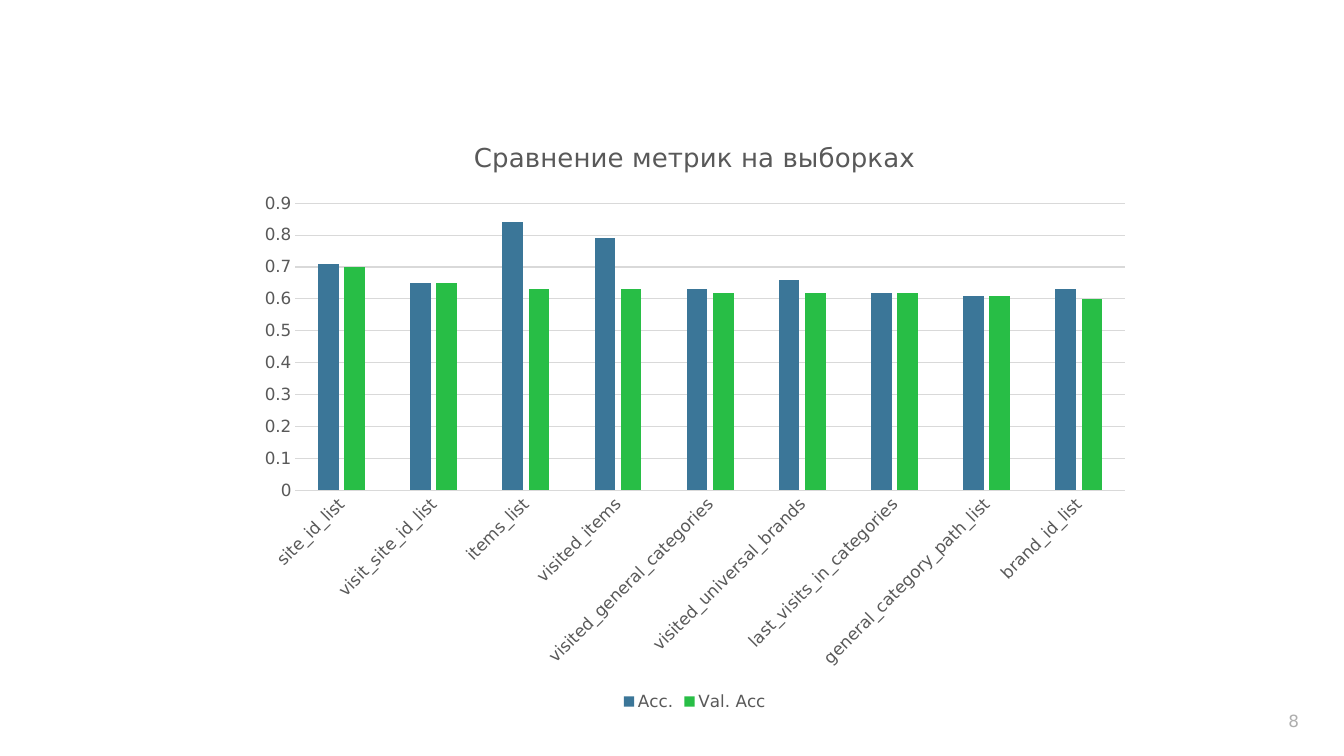
"""Build the slide comparing accuracy metrics across feature sets."""
from pptx import Presentation
from pptx.chart.data import CategoryChartData
from pptx.dml.color import RGBColor
from pptx.enum.chart import XL_CHART_TYPE as ChartType
from pptx.enum.chart import XL_LEGEND_POSITION as LegendPosition
from pptx.enum.chart import XL_TICK_MARK as TickMark
from pptx.enum.text import MSO_ANCHOR as Anchor
from pptx.enum.text import PP_ALIGN as Align
from pptx.util import Cm, Pt

FONT = "DejaVu Sans"
COLORS = {
    "label": "595959",
    "grid": "D9D9D9",
    "number": "AEAEAE",
    "Acc.": "3B7698",
    "Val. Acc": "28BE46",
}
CATEGORIES = [
    "site_id_list",
    "visit_site_id_list",
    "items_list",
    "visited_items",
    "visited_general_categories",
    "visited_universal_brands",
    "last_visits_in_categories",
    "general_category_path_list",
    "brand_id_list",
]
METRICS = {
    "Acc.": [0.71, 0.65, 0.84, 0.79, 0.63, 0.66, 0.62, 0.61, 0.63],
    "Val. Acc": [0.7, 0.65, 0.63, 0.63, 0.62, 0.62, 0.62, 0.61, 0.6],
}


def style_font(font, size, color):
    font.name = FONT
    font.size = Pt(size)
    font.bold = False
    font.color.rgb = RGBColor.from_string(COLORS[color])


def style_line(line):
    line.color.rgb = RGBColor.from_string(COLORS["grid"])
    line.width = Pt(0.75)


deck = Presentation()
deck.slide_width, deck.slide_height = Cm(33.87), Cm(19.05)
page = deck.slides.add_slide(deck.slide_layouts[6])

box = page.shapes.add_textbox(Cm(25.37), Cm(17.65), Cm(7.62), Cm(1.02))
box.text_frame.word_wrap = True
box.text_frame.vertical_anchor = Anchor.MIDDLE
para = box.text_frame.paragraphs[0]
para.alignment = Align.RIGHT
span = para.add_run()
span.text = "8"
style_font(span.font, 12, "number")

metric_data = CategoryChartData()
metric_data.categories = CATEGORIES
for name, values in METRICS.items():
    metric_data.add_series(name, values)
chart = page.shapes.add_chart(
    ChartType.COLUMN_CLUSTERED, Cm(6.22), Cm(2.97), Cm(22.58), Cm(15.06), metric_data
).chart
style_font(chart.font, 12, "label")

chart.has_title = True
span = chart.chart_title.text_frame.paragraphs[0].add_run()
span.text = "Сравнение метрик на выборках"
style_font(span.font, 18.6, "label")
chart.chart_title.include_in_layout = False

chart.has_legend = True
chart.legend.position = LegendPosition.BOTTOM
chart.legend.include_in_layout = False
style_font(chart.legend.font, 12, "label")

for axis in (chart.category_axis, chart.value_axis):
    axis.major_tick_mark = TickMark.NONE
    axis.minor_tick_mark = TickMark.NONE
    style_font(axis.tick_labels.font, 12, "label")
style_line(chart.category_axis.format.line)
label_body = chart.category_axis._element.txPr.bodyPr
label_body.set("rot", "-2700000")
label_body.set("vert", "horz")

scale = chart.value_axis
scale.minimum_scale, scale.maximum_scale, scale.major_unit = 0, 0.9, 0.1
scale.tick_labels.number_format = "General"
scale.tick_labels.number_format_is_linked = False
scale.format.line.fill.background()
scale.has_major_gridlines = True
style_line(scale.major_gridlines.format.line)

plot = chart.plots[0]
plot.gap_width, plot.overlap = 219, -27
plot.vary_by_categories = False
for series in plot.series:
    series.format.fill.solid()
    series.format.fill.fore_color.rgb = RGBColor.from_string(COLORS[series.name])

deck.save("out.pptx")
